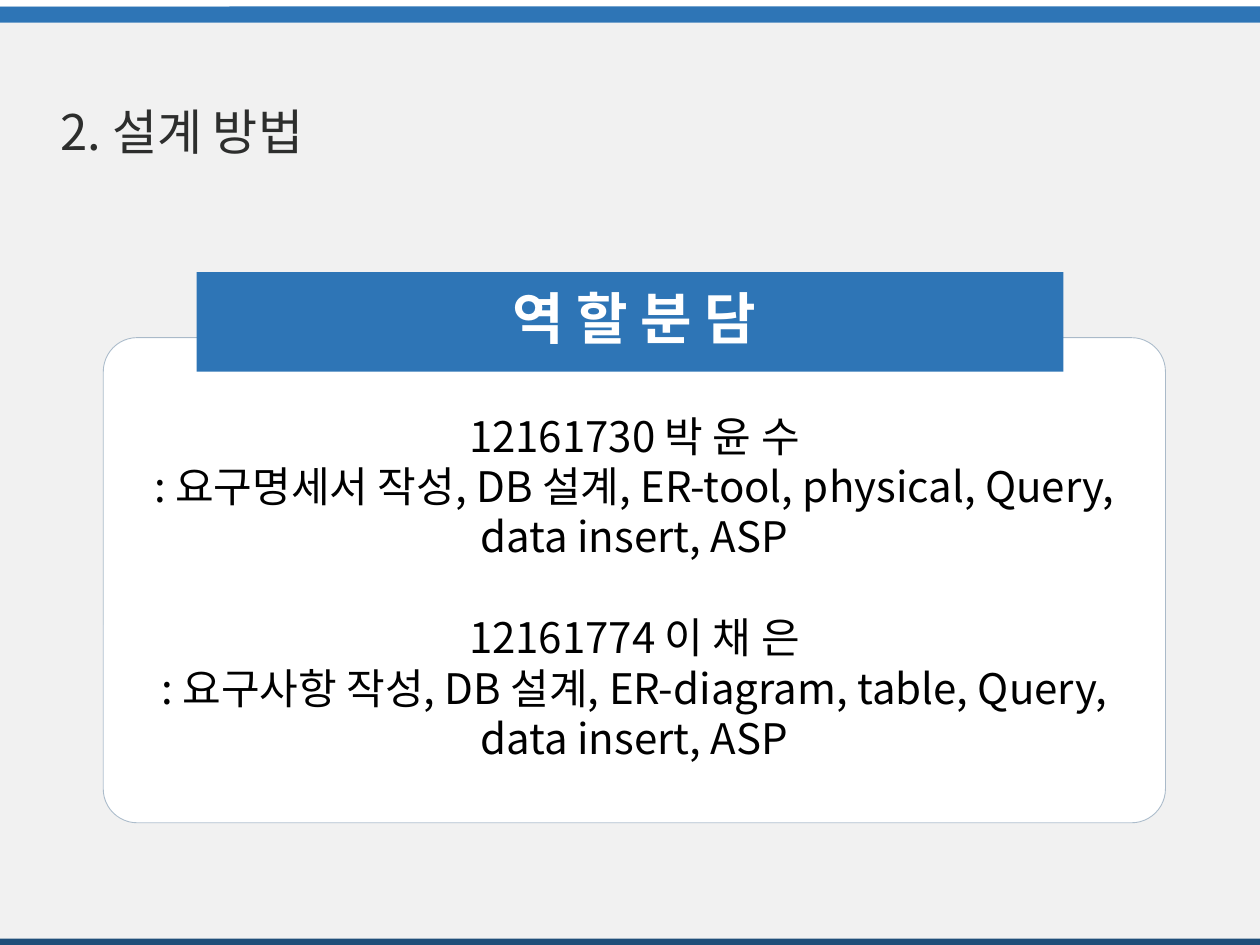
from lxml import etree
from pptx import Presentation
from pptx.dml.color import RGBColor
from pptx.enum.shapes import MSO_SHAPE
from pptx.enum.text import MSO_ANCHOR, PP_ALIGN
from pptx.oxml.ns import qn
from pptx.util import Inches, Pt

RECT, ROUNDED = MSO_SHAPE.RECTANGLE, MSO_SHAPE.ROUNDED_RECTANGLE
LEFT, CENTER = PP_ALIGN.LEFT, PP_ALIGN.CENTER
TOP, MIDDLE = MSO_ANCHOR.TOP, MSO_ANCHOR.MIDDLE
FONT = "Noto Sans CJK KR"
BLUE, NAVY, WHITE, GRAY = "2E75B6", "1F4E79", "FFFFFF", "F1F1F1"

# Content
TITLE = "2. 설계 방법"
BANNER = "역 할 분 담"
MEMBERS = [
    ("12161730 박 윤 수",
     ": 요구명세서 작성, DB 설계, ER-tool, physical, Query, data insert, ASP"),
    ("12161774 이 채 은",
     ": 요구사항 작성, DB 설계, ER-diagram, table, Query, data insert, ASP"),
]
BANDS = [  # left, top, width, height, fill
    (0, 0.18, 10, 7.32, GRAY),
    (0, 0.05, 10, 0.13, BLUE),
    (0, 0, 1.82, 0.05, WHITE),
    (0, 7.45, 10, 0.05, NAVY),
]


def rgb(color):
    return RGBColor.from_string(color)


def add_block(kind, left, top, width, height, fill):
    block = slide.shapes.add_shape(
        kind, Inches(left), Inches(top), Inches(width), Inches(height))
    block.shadow.inherit = False
    block.fill.solid()
    block.fill.fore_color.rgb = rgb(fill)
    block.line.fill.background()
    return block


def write(frame, lines, size, color, align, anchor, bold=False):
    frame.word_wrap = True
    frame.vertical_anchor = anchor
    frame.text = "\n".join(lines)
    for paragraph in frame.paragraphs:
        paragraph.alignment = align
        font = paragraph.font
        font.name, font.size, font.bold = FONT, Pt(size), bold
        font.color.rgb = rgb(color)
        # Hangul takes the East Asian typeface
        properties = paragraph._p.pPr.find(qn("a:defRPr"))
        etree.SubElement(properties, qn("a:ea"), typeface=FONT)


def add_text(left, top, width, height, text, size, color, align, bold=False):
    box = slide.shapes.add_textbox(
        Inches(left), Inches(top), Inches(width), Inches(height))
    write(box.text_frame, [text], size, color, align, TOP, bold)
    return box.text_frame


prs = Presentation()
prs.slide_width, prs.slide_height = Inches(10), Inches(7.5)
slide = prs.slides.add_slide(prs.slide_layouts[6])

# Background and edge bands
for *place, fill in BANDS:
    add_block(RECT, *place, fill)

add_text(0.38, 0.76, 2.88, 0.57, TITLE, 28, "2D2E2D", LEFT)

# Card with each member's tasks
card = add_block(ROUNDED, 0.82, 2.68, 8.43, 3.85, WHITE)
card.adjustments[0] = 0.07
card.line.color.rgb = rgb(NAVY)
card.line.width = Pt(0.5)
line_color = card.line._ln.find(".//" + qn("a:srgbClr"))
etree.SubElement(line_color, qn("a:alpha"), val="35000")

tasks = card.text_frame
write(tasks, [line for member in MEMBERS for line in member],
      24, "000000", CENTER, MIDDLE)
tasks.margin_top = Inches(0.15)
for heading in tasks.paragraphs[2::2]:
    heading.space_before = Pt(29)

# Banner over the card's top edge
add_block(RECT, 1.56, 2.16, 6.88, 0.79, BLUE)
banner = add_text(3.48, 2.26, 3.11, 0.68, BANNER, 32, WHITE, CENTER, bold=True)
banner.paragraphs[0].line_spacing = 0.9

prs.save("out.pptx")
